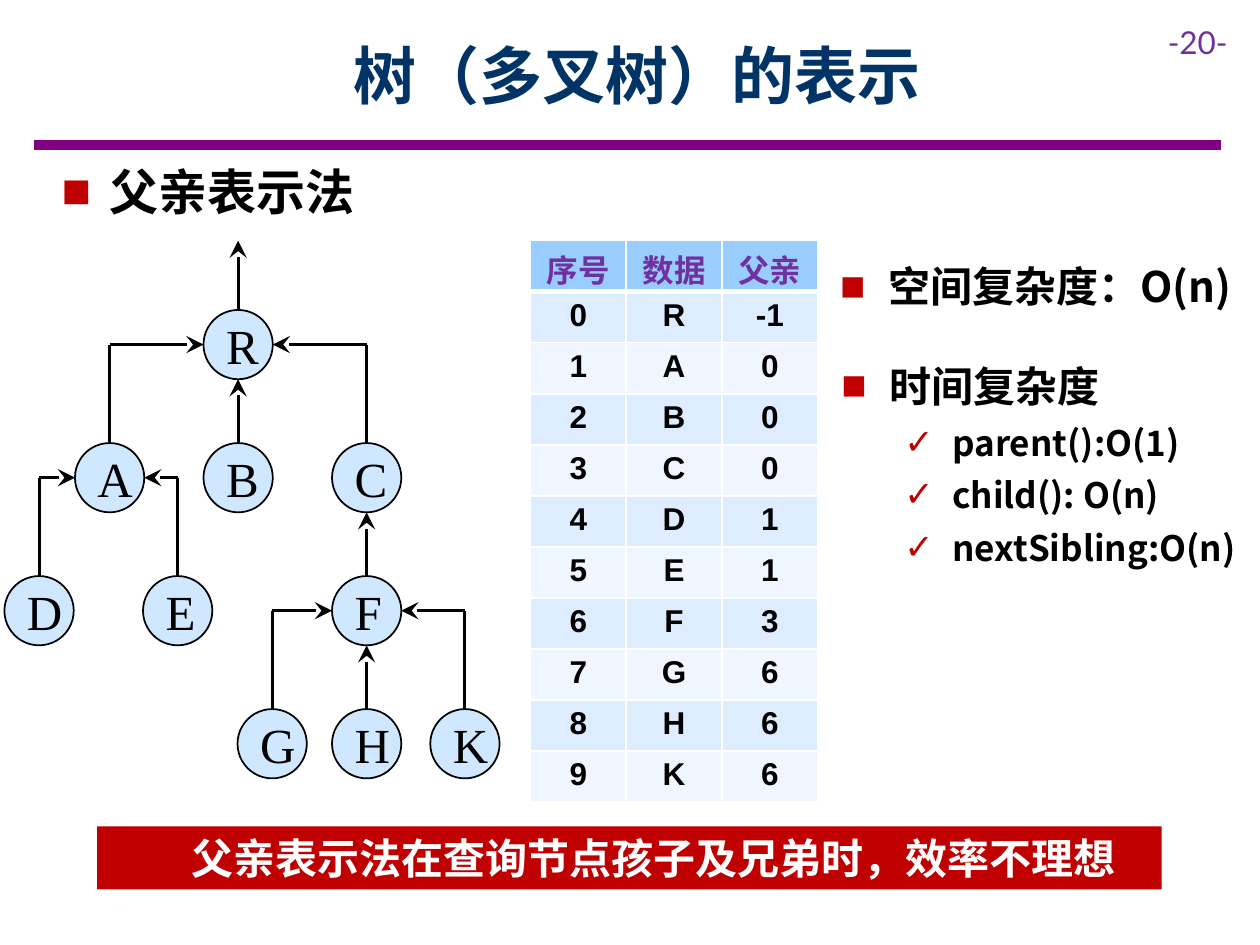
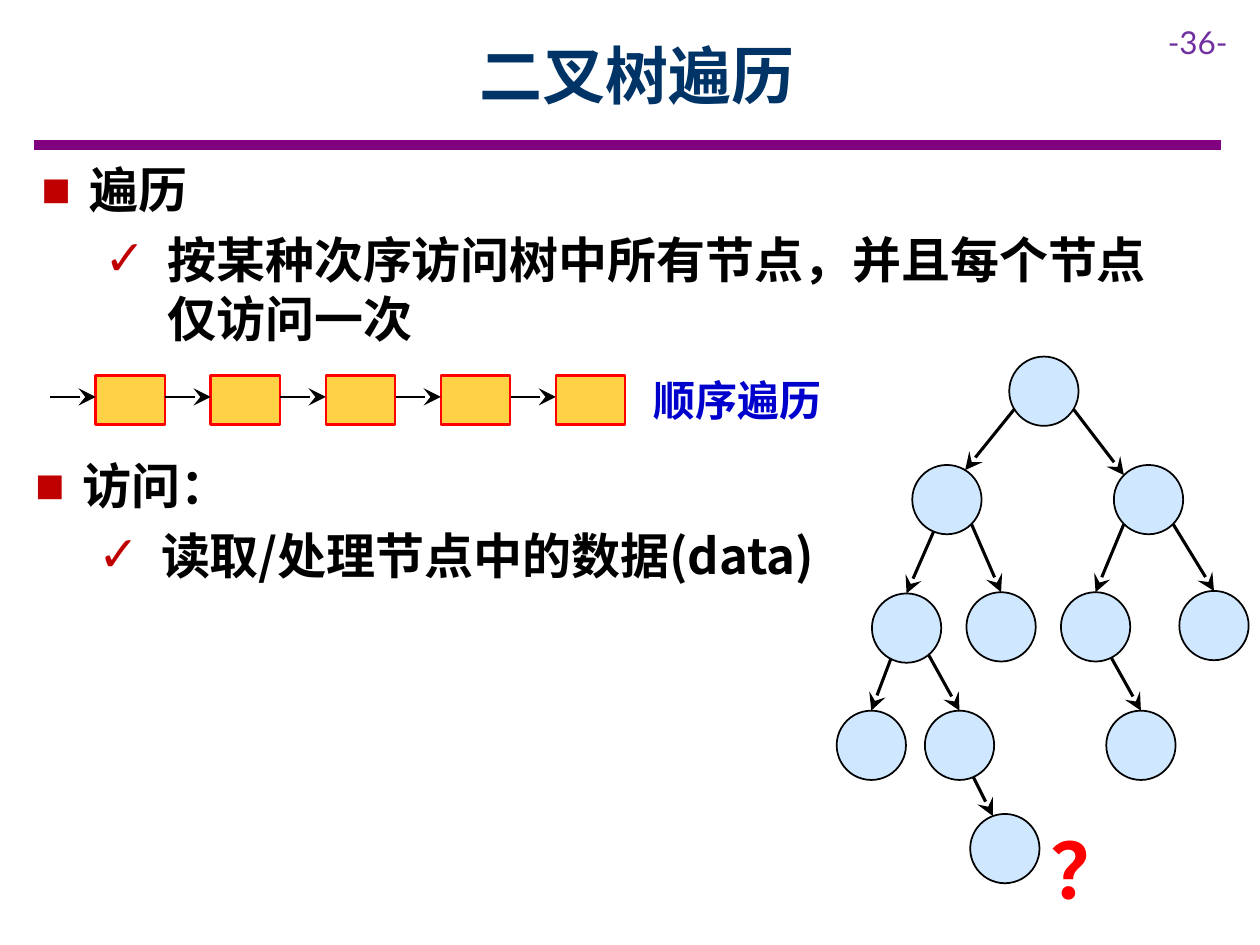
"""Builds two lecture slides on representing and traversing trees."""
import math
from dataclasses import dataclass
from typing import NamedTuple, Optional

from lxml import etree
from pptx import Presentation
from pptx import util as u
from pptx.dml.color import RGBColor
from pptx.enum import shapes, text
from pptx.oxml.ns import qn

COLUMNS, ROWS = 100, 75
SLIDE_WIDTH, SLIDE_HEIGHT = u.Inches(10), u.Inches(7.5)
TITLE_ONLY = 5
RADIUS = 2.75


class Area(NamedTuple):
    """A rectangle in grid columns and rows."""
    column: float
    row: float
    width: float
    height: float


class Point(NamedTuple):
    """A place in grid columns and rows."""
    column: float
    row: float


@dataclass(frozen=True)
class TextStyle:
    """Font settings of a paragraph."""
    size: float
    color: str = "000000"
    font: str = "Noto Sans CJK SC"
    bold: bool = True


@dataclass(frozen=True)
class Theme:
    """Colours and type sizes of the deck."""
    ink: str = "000000"
    paper: str = "FFFFFF"
    rule: str = "800080"
    accent: str = "C00000"
    node: str = "99CCFF"
    square: str = "FFC000"
    square_edge: str = "FF0000"
    bands: tuple[str, str] = ("EFF6FF", "DEECFF")
    title: TextStyle = TextStyle(36, "003366")
    page: TextStyle = TextStyle(18, "7030A0", "Lato", False)
    large: TextStyle = TextStyle(28)
    medium: TextStyle = TextStyle(24)
    small: TextStyle = TextStyle(20)
    banner: TextStyle = TextStyle(24, "FFFFFF")
    caption: TextStyle = TextStyle(24, "0000CC")
    question: TextStyle = TextStyle(44, "FF0000")
    label: TextStyle = TextStyle(28, font="Times New Roman", bold=False)
    header: TextStyle = TextStyle(18, "7030A0")
    cell: TextStyle = TextStyle(18, font="Arial")


THEME = Theme()


@dataclass(frozen=True)
class Bullet:
    """A bullet sign with its text indent in inches."""
    sign: str
    indent: float
    hanging: float
    level: int = 0


SQUARE = Bullet("■", 0.38, 0.38)
CHECK = Bullet("✓", 0.88, 0.38, 1)
WIDE_CHECK = Bullet("✓", 1, 0.5, 1)


@dataclass(frozen=True)
class Line:
    """One paragraph of a text box."""
    words: str
    style: TextStyle
    bullet: Optional[Bullet] = None


@dataclass(frozen=True)
class Node:
    """A tree node, its parent's index and the link's sideways offsets at both ends."""
    column: float
    row: float
    parent: int
    label: str = ""
    leave: float = 0
    arrive: float = 0

    def rim(self, offset: float, side: int) -> Point:
        """Return the rim point at a sideways offset, below (1) or above (-1)."""
        return Point(self.column + offset, self.row + side * math.sqrt(RADIUS**2 - offset**2))


def across(columns: float) -> int:
    """Turn grid columns into a length."""
    return round(SLIDE_WIDTH * columns / COLUMNS)


def down(rows: float) -> int:
    """Turn grid rows into a length."""
    return round(SLIDE_HEIGHT * rows / ROWS)


def frame(area: Area) -> tuple[int, int, int, int]:
    """Turn an area into left, top, width and height."""
    return across(area.column), down(area.row), across(area.width), down(area.height)


def add_bullet(paragraph, bullet: Bullet) -> None:
    """Give a paragraph a coloured bullet and a hanging indent."""
    paragraph.level = bullet.level
    props = paragraph._p.get_or_add_pPr()
    props.set("marL", str(u.Inches(bullet.indent)))
    props.set("indent", str(-u.Inches(bullet.hanging)))
    color = etree.SubElement(props, qn("a:buClr"))
    etree.SubElement(color, qn("a:srgbClr"), val=THEME.accent)
    etree.SubElement(props, qn("a:buFont"), typeface="Arial")
    etree.SubElement(props, qn("a:buChar"), char=bullet.sign)


def write(paragraph, words: str, style: TextStyle, centred: bool = False) -> None:
    """Fill a paragraph and set its font for all scripts."""
    paragraph.text = words
    if centred:
        paragraph.alignment = text.PP_ALIGN.CENTER
    font = paragraph.font
    font.name, font.size, font.bold = style.font, u.Pt(style.size), style.bold
    font.color.rgb = RGBColor.from_string(style.color)
    defaults = paragraph._p.pPr.find(qn("a:defRPr"))
    etree.SubElement(defaults, qn("a:ea"), typeface=style.font)


def add_text(page, area: Area, *lines: Line, wrap: bool = True) -> None:
    """Add a text box with one paragraph per line."""
    body = page.shapes.add_textbox(*frame(area)).text_frame
    body.word_wrap = wrap
    for index, line in enumerate(lines):
        paragraph = body.add_paragraph() if index else body.paragraphs[0]
        if line.bullet:
            add_bullet(paragraph, line.bullet)
        paragraph.space_after = u.Pt(6)
        write(paragraph, line.words, line.style)


def add_line(page, start: Point, end: Point, color: str = THEME.ink,
             width: float = 1.75, arrow: bool = True) -> None:
    """Draw a straight line, with an arrowhead at its end if asked."""
    line = page.shapes.add_connector(shapes.MSO_CONNECTOR.STRAIGHT, across(start.column),
                                     down(start.row), across(end.column), down(end.row))
    line.line.color.rgb = RGBColor.from_string(color)
    line.line.width = u.Pt(width)
    props = line._element.spPr
    if arrow:
        etree.SubElement(props.find(qn("a:ln")), qn("a:tailEnd"), type="stealth", w="lg", len="lg")
    etree.SubElement(props, qn("a:effectLst"))


def add_box(page, kind, area: Area, fill: str, opacity: int = 100,
            edge: Optional[str] = None, width: float = 1):
    """Add a filled preset shape and return it."""
    box = page.shapes.add_shape(kind, *frame(area))
    box.shadow.inherit = False
    box.fill.solid()
    box.fill.fore_color.rgb = RGBColor.from_string(fill)
    if opacity < 100:
        color = box._element.spPr.find(qn("a:solidFill"))[0]
        etree.SubElement(color, qn("a:alpha"), val=str(opacity * 1000))
    if edge:
        box.line.color.rgb = RGBColor.from_string(edge)
        box.line.width = u.Pt(width)
    else:
        box.line.fill.background()
    return box


def add_node(page, node: Node) -> None:
    """Draw a tree node with its label."""
    area = Area(node.column - RADIUS, node.row - RADIUS, 2 * RADIUS, 2 * RADIUS)
    circle = add_box(page, shapes.MSO_SHAPE.OVAL, area, THEME.node, 47, THEME.ink)
    if node.label:
        body = circle.text_frame
        body.margin_left = body.margin_right = body.margin_top = body.margin_bottom = u.Inches(0.1)
        write(body.paragraphs[0], node.label, THEME.label, centred=True)


def link_up(page, child: Node, parent: Node) -> None:
    """Draw the right-angled arrow from a child to its parent."""
    start = child.rim(0, -1)
    if child.column == parent.column:
        add_line(page, start, parent.rim(0, 1))
        return
    corner = Point(child.column, parent.row)
    side = math.copysign(RADIUS, child.column - parent.column)
    add_line(page, start, corner, arrow=False)
    add_line(page, corner, Point(parent.column + side, parent.row))


def add_cell(cell, words: str, style: TextStyle, fill: str, bottom: float) -> None:
    """Fill a table cell and draw its white borders."""
    props = cell._tc.get_or_add_tcPr()
    for side, width in zip("LRTB", (1, 1, 1, bottom)):
        border = etree.SubElement(props, qn(f"a:ln{side}"), w=str(u.Pt(width)))
        solid = etree.SubElement(border, qn("a:solidFill"))
        etree.SubElement(solid, qn("a:srgbClr"), val=THEME.paper)
    cell.fill.solid()
    cell.fill.fore_color.rgb = RGBColor.from_string(fill)
    write(cell.text_frame.paragraphs[0], words, style, centred=True)


def add_parent_table(page, area: Area, nodes: list[Node]) -> None:
    """List each node with its number and its parent's number."""
    rows = [("序号", "数据", "父亲")]
    rows += [(str(i), node.label, str(node.parent)) for i, node in enumerate(nodes)]
    table = page.shapes.add_table(len(rows), 3, *frame(area)).table
    for index, row in enumerate(rows):
        table.rows[index].height = down(area.height / len(rows))
        for cell, words in zip(table.rows[index].cells, row):
            if index:
                add_cell(cell, words, THEME.cell, THEME.bands[index % 2], 1)
            else:
                cell.margin_top, cell.margin_bottom = u.Inches(0.04), 0
                add_cell(cell, words, THEME.header, THEME.node, 3)


def add_page(deck, title: str, number: int):
    """Add a slide with its title, rule and page number."""
    page = deck.slides.add_slide(deck.slide_layouts[TITLE_ONLY])
    add_line(page, Point(2.7, 11.5), Point(96.9, 11.5), THEME.rule, 6, arrow=False)
    add_text(page, Area(91.7, 1.3, 8.3, 4), Line(f"-{number}-", THEME.page))
    box = page.shapes.title
    box.left, box.top, box.width, box.height = frame(Area(9, 0.9, 83.1, 10))
    box.text_frame.vertical_anchor = text.MSO_ANCHOR.MIDDLE
    write(box.text_frame.paragraphs[0], title, THEME.title, centred=True)
    return page


def build_parent_page(deck) -> None:
    """Build the slide on the parent representation."""
    page = add_page(deck, "树（多叉树）的表示", 20)
    add_text(page, Area(3.9, 12.3, 34.3, 5.7), Line("父亲表示法", THEME.large, SQUARE))
    levels = [27.35 + 10.56 * level for level in range(4)]
    places = [("R", 18.9, 0, -1), ("A", 8.7, 1, 0), ("B", 18.9, 1, 0), ("C", 29.1, 1, 0),
              ("D", 3.1, 2, 1), ("E", 14.1, 2, 1), ("F", 29.1, 2, 3),
              ("G", 21.6, 3, 6), ("H", 29.1, 3, 6), ("K", 36.9, 3, 6)]
    nodes = [Node(column, levels[level], parent, label) for label, column, level, parent in places]
    for node in nodes:
        add_node(page, node)
    root = nodes[0]
    add_line(page, root.rim(0, -1), Point(root.column, 19.1))
    for node in nodes[1:]:
        link_up(page, node, nodes[node.parent])
    add_parent_table(page, Area(42.1, 19.1, 22.8, 44.6), nodes)
    add_text(page, Area(65.7, 20.2, 34.6, 5), Line("空间复杂度：O(n)", THEME.medium, SQUARE))
    costs = ("parent():O(1)", "child(): O(n)", "nextSibling:O(n)")
    add_text(page, Area(65.8, 28.1, 33.9, 17.7), Line("时间复杂度", THEME.medium, SQUARE),
             *(Line(cost, THEME.small, CHECK) for cost in costs))
    banner = add_box(page, shapes.MSO_SHAPE.RECTANGLE, Area(7.7, 65.6, 84.5, 5), THEME.accent)
    banner.text_frame.margin_left = u.Inches(0.48)
    write(banner.text_frame.paragraphs[0], "父亲表示法在查询节点孩子及兄弟时，效率不理想",
          THEME.banner, centred=True)


def build_traversal_page(deck) -> None:
    """Build the slide on traversing a binary tree."""
    page = add_page(deck, "二叉树遍历", 36)
    for index in range(5):
        left = 7.6 + 9.13 * index
        add_box(page, shapes.MSO_SHAPE.RECTANGLE, Area(left, 29.8, 5.5, 3.9),
                THEME.square, 73, THEME.square_edge, 1.5)
        add_line(page, Point(left - 3.6, 31.5), Point(left, 31.5), width=1.25)
    add_text(page, Area(50.9, 29.2, 15.5, 5), Line("顺序遍历", THEME.caption), wrap=False)
    nodes = [Node(82.85, 31.05, -1),
             Node(75.15, 39.65, 0, leave=-2.35, arrive=1.45),
             Node(91.15, 39.65, 0, leave=2.35, arrive=-1.95),
             Node(71.95, 49.85, 1, leave=-1.05), Node(79.45, 49.75, 1, leave=1.95),
             Node(86.95, 49.75, 2, leave=-1.95), Node(96.35, 49.65, 2, leave=1.95),
             Node(69.15, 59.15, 3, leave=-1.25), Node(76.15, 59.15, 3, leave=1.75),
             Node(90.55, 59.15, 5, leave=1.25),
             Node(79.75, 67.35, 8, leave=1.1, arrive=-0.95)]
    for node in nodes:
        add_node(page, node)
    for node in nodes[1:]:
        add_line(page, nodes[node.parent].rim(node.leave, 1), node.rim(node.arrive, -1))
    add_text(page, Area(82.4, 64.8, 8.2, 8.4), Line("？", THEME.question), wrap=False)
    add_text(page, Area(2.3, 12.2, 93, 16), Line("遍历", THEME.large, SQUARE),
             Line("按某种次序访问树中所有节点，并且每个节点仅访问一次", THEME.large, WIDE_CHECK))
    add_text(page, Area(1.8, 35.7, 65, 11.3), Line("访问：", THEME.large, SQUARE),
             Line("读取/处理节点中的数据(data)", THEME.large, WIDE_CHECK))


def main() -> None:
    """Build and save the deck."""
    deck = Presentation()
    deck.slide_width, deck.slide_height = SLIDE_WIDTH, SLIDE_HEIGHT
    build_parent_page(deck)
    build_traversal_page(deck)
    deck.save("out.pptx")


if __name__ == "__main__":
    main()
